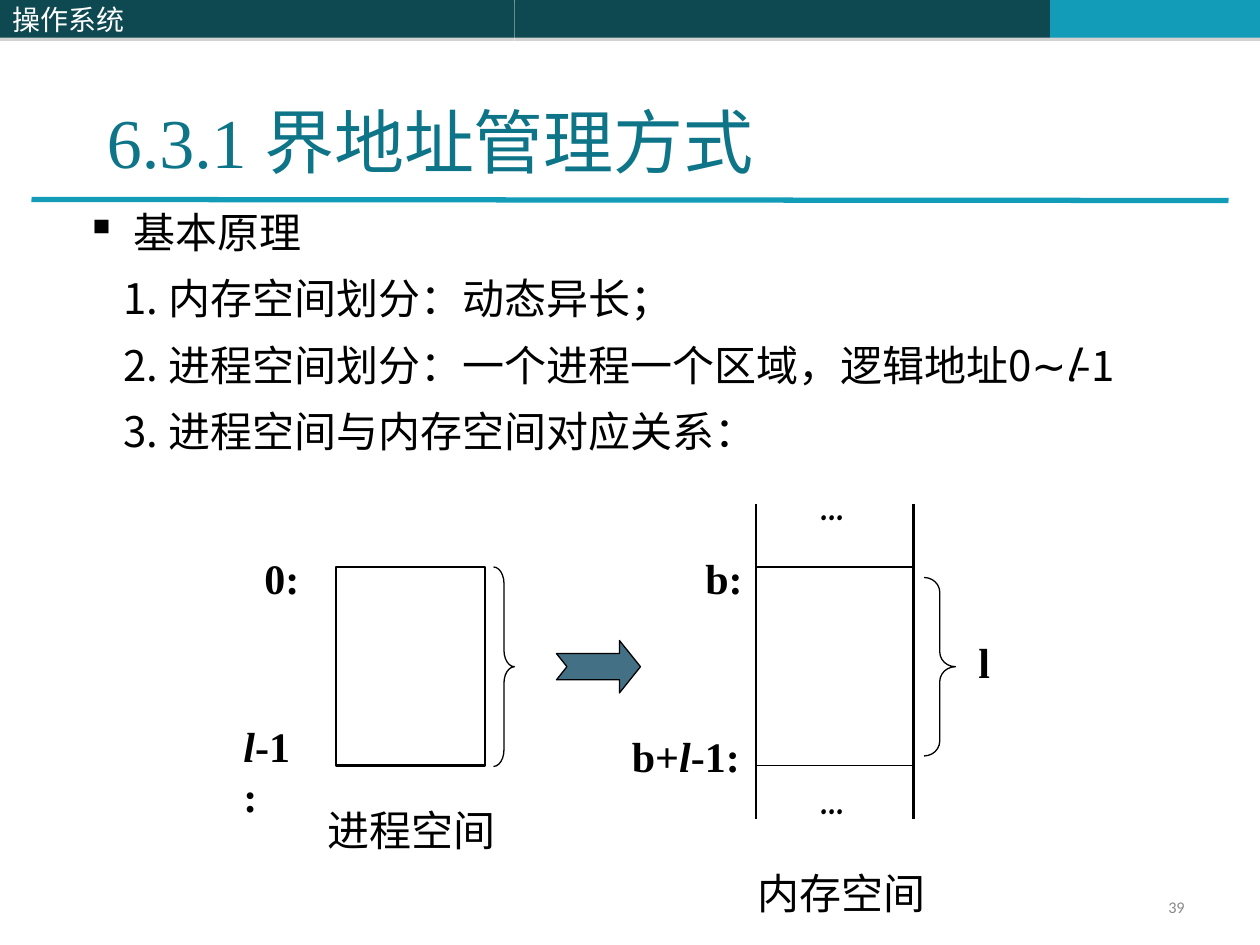
from lxml import etree
from pptx import Presentation
from pptx.dml.color import RGBColor
from pptx.enum.shapes import MSO_CONNECTOR, MSO_SHAPE
from pptx.enum.text import MSO_ANCHOR, PP_ALIGN
from pptx.oxml.ns import qn
from pptx.util import Emu, Pt

SCALE = 7620
RECTANGLE = MSO_SHAPE.RECTANGLE
BRACE = MSO_SHAPE.RIGHT_BRACE
NOTCHED_ARROW = MSO_SHAPE.NOTCHED_RIGHT_ARROW
STRAIGHT = MSO_CONNECTOR.STRAIGHT
TOP, MIDDLE, BOTTOM = MSO_ANCHOR.TOP, MSO_ANCHOR.MIDDLE, MSO_ANCHOR.BOTTOM
LEFT, RIGHT = PP_ALIGN.LEFT, PP_ALIGN.RIGHT

COLORS = {
    "dark": "0E4851",
    "accent": "139CB7",
    "title": "0E7589",
    "arrow": "437085",
    "black": "000000",
    "white": "FFFFFF",
    "page": "898989",
    "shadow": "808080",
}
HAN = "Noto Sans CJK SC"
SERIF = "Times New Roman"
BODY = {"name": HAN, "size": Pt(24)}
LABEL = {"name": SERIF, "size": Pt(24), "bold": True}
ITALIC = {"italic": True}
DOTS = {"name": "Comic Neue", "size": Pt(24), "bold": True}


def px(length):
    return Emu(length * SCALE)


def color(name):
    return RGBColor.from_string(COLORS[name])


def place(box, left, top, width, height):
    return box[0] + left, box[1] + top, width, height


def add_runs(para, runs, style, color_name):
    for text, changes in runs:
        span = para.add_run()
        span.text = text
        for key, value in {**style, **changes}.items():
            setattr(span.font, key, value)
        span.font.color.rgb = color(color_name)
        latin = span.font._element.find(qn("a:latin"))
        east_asian = etree.Element(qn("a:ea"), typeface=HAN)
        latin.addnext(east_asian)


def add_text(page, box, runs, style, color_name="black", anchor=TOP, align=LEFT):
    shape = page.shapes.add_textbox(*map(px, box))
    frame = shape.text_frame
    frame.word_wrap = True
    frame.vertical_anchor = anchor
    para = frame.paragraphs[0]
    para.alignment = align
    add_runs(para, runs, style, color_name)
    return frame


def add_figure(page, kind, box, fill=None, line=None, weight=0.75, adjustments=()):
    shape = page.shapes.add_shape(kind, *map(px, box))
    shape.shadow.inherit = False
    for part, name in ((shape.fill, fill), (shape.line.fill, line)):
        if name:
            part.solid()
            part.fore_color.rgb = color(name)
        else:
            part.background()
    if line:
        shape.line.width = Pt(weight)
    for index, value in enumerate(adjustments):
        shape.adjustments[index] = value
    return shape


def add_brace(page, box):
    curl = box[3] / box[2] / 12
    add_figure(page, BRACE, box, line="black", adjustments=(curl, 0.5))


def add_line(page, start, end, color_name, weight):
    line = page.shapes.add_connector(STRAIGHT, *map(px, start + end))
    line.line.color.rgb = color(color_name)
    line.line.width = Pt(weight)
    etree.SubElement(line._element.spPr, qn("a:effectLst"))


def add_header(page, box):
    left, top, width, height = box
    edge = 0
    bars = []
    for part, fill in ((490, "dark"), (510, "dark"), (200, "accent")):
        bar = add_figure(page, RECTANGLE, place(box, edge, 0, part, height), fill)
        effects = bar._element.spPr.find(qn("a:effectLst"))
        shadow = etree.SubElement(effects, qn("a:outerShdw"), dist=str(Pt(1.8)),
                                  dir="5400000", algn="ctr", rotWithShape="0")
        tint = etree.SubElement(shadow, qn("a:srgbClr"), val=COLORS["shadow"])
        etree.SubElement(tint, qn("a:alpha"), val="35000")
        bars.append(bar)
        edge += part
    frame = bars[0].text_frame
    frame.vertical_anchor = MIDDLE
    frame.paragraphs[0].alignment = LEFT
    add_runs(frame.paragraphs[0], [("操作系统", {})], {"name": HAN, "size": Pt(16)}, "white")


def add_title(page, box):
    left, top, width, height = box
    add_text(page, place(box, 60, 0, 1020, 150), [("6.3.1 界地址管理方式", {})],
             {"name": SERIF, "size": Pt(40)}, "title", BOTTOM)
    add_line(page, (left, top + height - 1), (left + width, top + height), "accent", 3)


def add_principles(page, box):
    frame = add_text(page, box, [("基本原理", {})], BODY)
    heading = frame.paragraphs[0]._p.get_or_add_pPr()
    heading.set("marL", str(px(45)))
    heading.set("indent", str(px(-45)))
    bullet_color = etree.SubElement(heading, qn("a:buClr"))
    etree.SubElement(bullet_color, qn("a:srgbClr"), val=COLORS["black"])
    etree.SubElement(heading, qn("a:buChar"), char="▪")
    items = [
        [("1. 内存空间划分：动态异长；", {})],
        [("2. 进程空间划分：一个进程一个区域，逻辑地址0", {}),
         ("∼", {"name": "Arial"}), ("l", ITALIC), ("-1", {})],
        [("3. 进程空间与内存空间对应关系：", {})],
    ]
    for runs in items:
        para = frame.add_paragraph()
        para.space_before = Pt(9)
        para._p.get_or_add_pPr().set("marL", str(px(36)))
        add_runs(para, runs, BODY, "black")


def add_process_space(page, box):
    add_figure(page, RECTANGLE, place(box, 100, 20, 142, 189), "white", "black", 1.25)
    add_brace(page, place(box, 250, 20, 20, 190))
    add_text(page, place(box, 20, 0, 60, 60), [("0:", {})], LABEL)
    add_text(page, place(box, 0, 160, 80, 108), [("l", ITALIC), ("-1:", {})], LABEL)
    add_text(page, place(box, 80, 240, 200, 60), [("进程空间", {})], BODY)


def add_memory_space(page, box):
    left, top = box[:2]
    add_figure(page, RECTANGLE, place(box, 130, 90, 151, 189), "white", "black")
    for side in (left + 130, left + 280):
        add_line(page, (side, top + 30), (side, top + 330), "black", 1.25)
    for offset in (0, 280):
        add_text(page, place(box, 180, offset, 80, 60), [("...", {})], DOTS)
    add_text(page, place(box, 70, 70, 70, 60), [("b:", {})], LABEL)
    add_text(page, place(box, 0, 240, 140, 60),
             [("b+", {}), ("l", ITALIC), ("-1:", {})], LABEL)
    add_brace(page, place(box, 290, 100, 30, 170))
    add_text(page, place(box, 330, 150, 60, 60), [("l", {})], LABEL)
    add_text(page, place(box, 120, 370, 200, 60), [("内存空间", {})], BODY)


def add_page_number(page, box):
    frame = add_text(page, box, [("39", {})], {"name": "Calibri", "size": Pt(9.3)},
                     "page", MIDDLE, RIGHT)
    frame.paragraphs[0].line_spacing = 0.8


def main():
    deck = Presentation()
    deck.slide_width, deck.slide_height = px(1200), px(900)
    page = deck.slides.add_slide(deck.slide_layouts[6])
    add_header(page, (0, 0, 1200, 36))
    add_title(page, (30, 30, 1140, 161))
    add_principles(page, (70, 191, 1090, 328))
    add_process_space(page, (220, 520, 280, 300))
    add_figure(page, NOTCHED_ARROW, (530, 610, 80, 50), "arrow", "black",
               adjustments=(0.5, 0.4))
    add_memory_space(page, (590, 450, 390, 430))
    add_page_number(page, (860, 850, 280, 32))
    deck.save("out.pptx")


if __name__ == "__main__":
    main()
